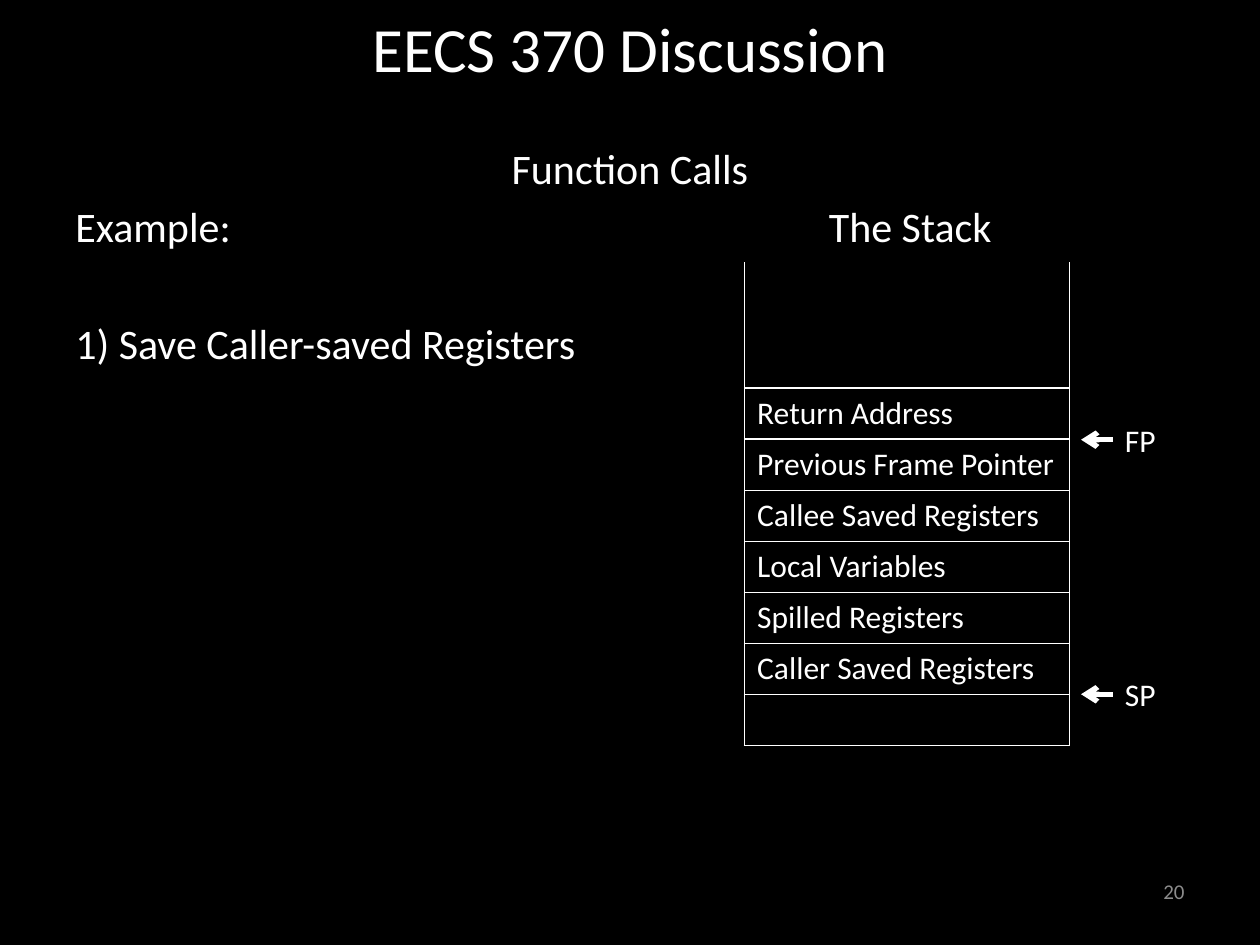
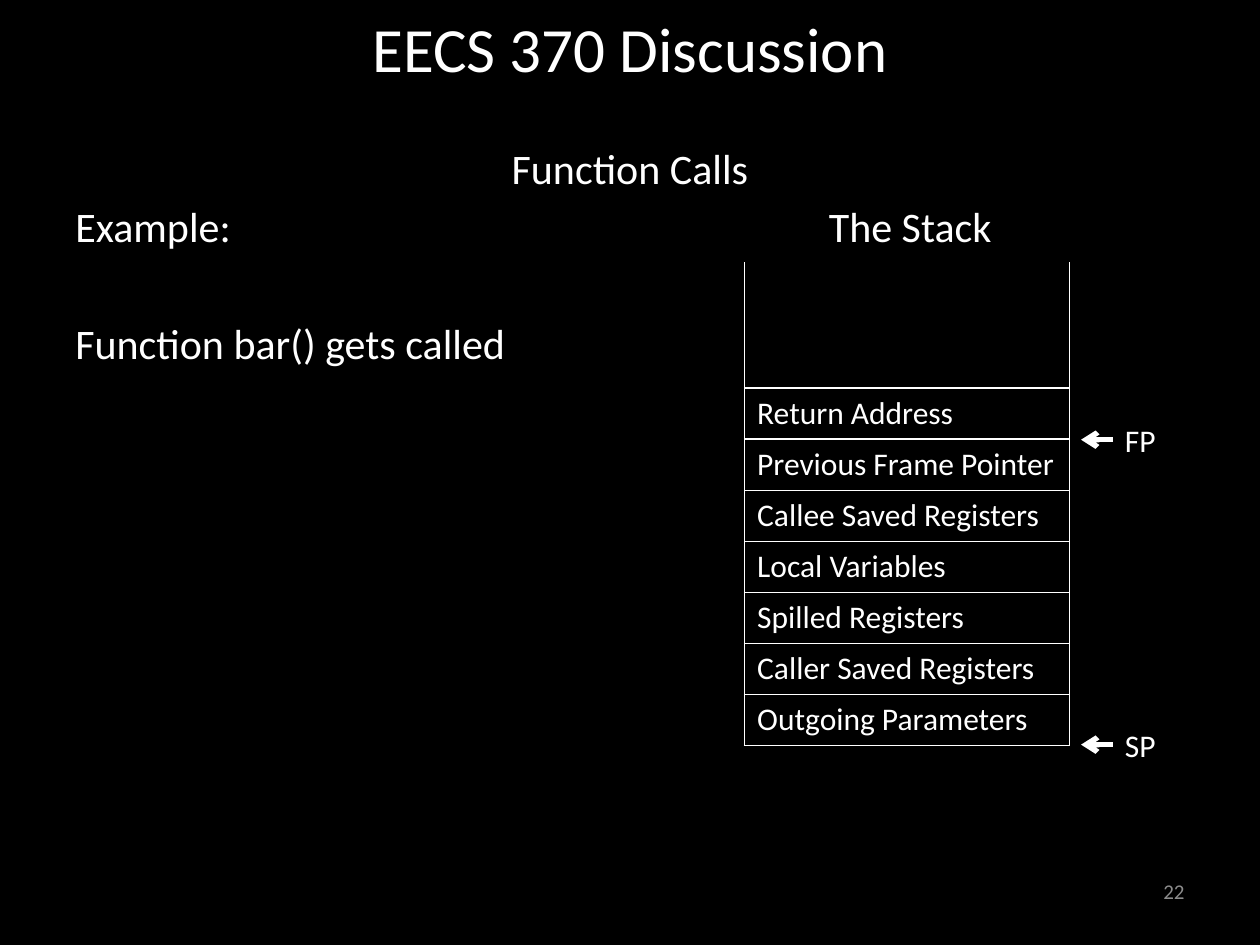
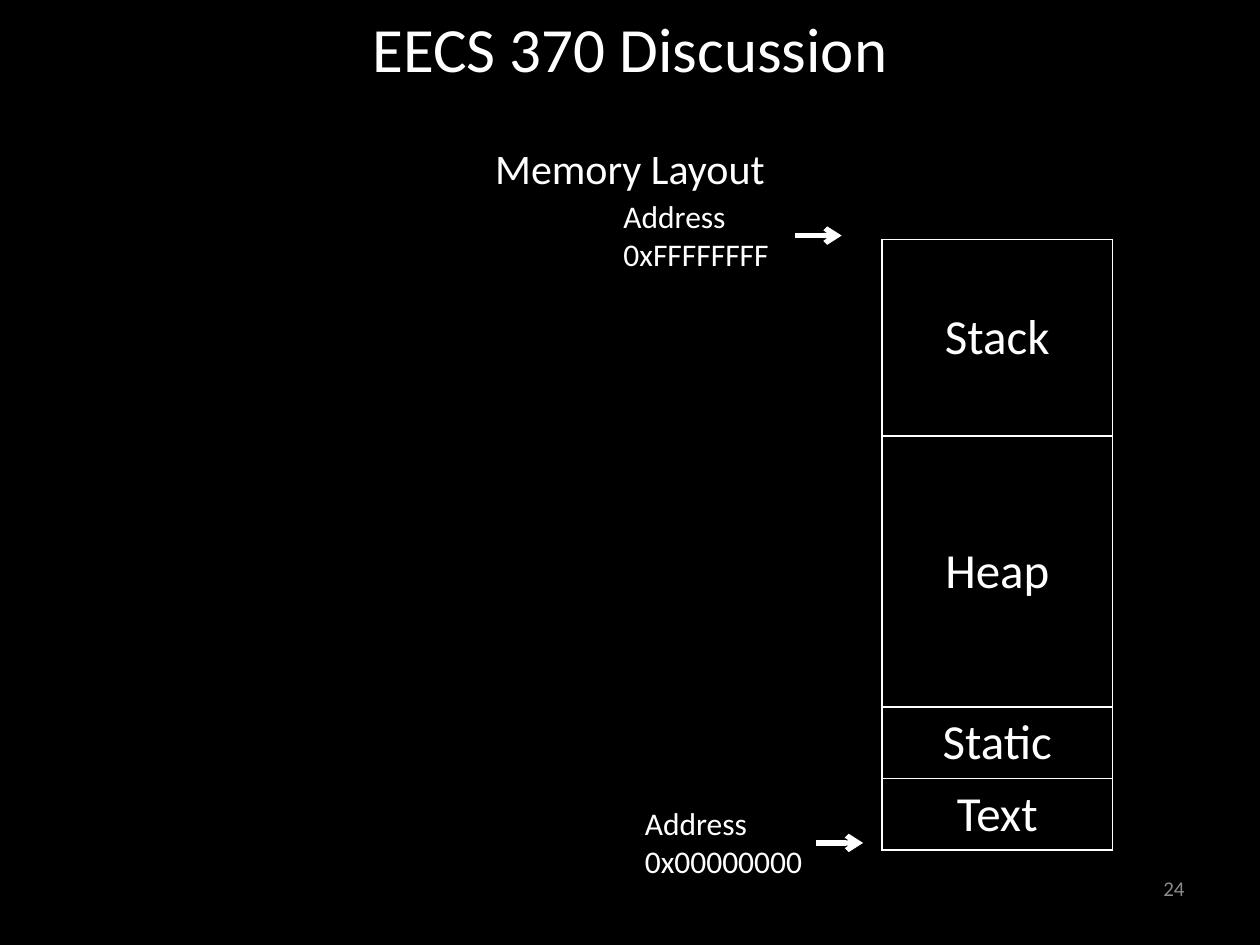
from lxml.etree import SubElement
from pptx import Presentation
from pptx.dml.color import RGBColor
from pptx.enum.shapes import MSO_CONNECTOR
from pptx.enum.text import MSO_ANCHOR, MSO_AUTO_SIZE, PP_ALIGN
from pptx.oxml.ns import qn
from pptx.util import Inches, Pt

# Shared look
BLACK, WHITE, GREY = "000000", "FFFFFF", "8C8C8C"
FONT = "Calibri"
TITLE = {"size": Pt(36)}
BODY = {"size": Pt(24)}
REGION = {"size": Pt(28)}
LABEL = {"size": Pt(18)}
LINE_GAP = 4.4
SKIPPED_LINE = 33.7
STACK_HEADING_TAB = 5.98

# Stack table: one tall open row, then equal frame rows
STACK_LEFT, STACK_TOP, STACK_WIDTH, STACK_HEIGHT = 5.91, 2.08, 2.58, 3.84
OPEN_ROW = 1.0
FRAME = ["Return Address", "Previous Frame Pointer", "Callee Saved Registers",
         "Local Variables", "Spilled Registers", "Caller Saved Registers"]
REGIONS = {"Stack": 1.56, "Heap": 2.15, "Static": 0.52, "Text": 0.52}


def rgb(value):
    return RGBColor.from_string(value)


def write(paragraph, text, style, color=WHITE, align=PP_ALIGN.LEFT, before=0):
    paragraph.text = text
    paragraph.alignment = align
    paragraph.space_before = Pt(before)
    for name, value in {"name": FONT, **style}.items():
        setattr(paragraph.font, name, value)
    paragraph.font.color.rgb = rgb(color)


def add_frame(slide, left, top, width, height, **settings):
    box = slide.shapes.add_textbox(*map(Inches, (left, top, width, height)))
    for name, value in {"word_wrap": True, **settings}.items():
        setattr(box.text_frame, name, value)
    return box


def add_base(prs, heading, number, number_top=6.87):
    """Slide with background, title, centred heading and number."""
    slide = prs.slides.add_slide(prs.slide_layouts[6])
    slide.background.fill.solid()
    slide.background.fill.fore_color.rgb = rgb(BLACK)
    middle = {"vertical_anchor": MSO_ANCHOR.MIDDLE}
    title = add_frame(slide, 0.5, -0.25, 9, 1.25, **middle)
    write(title.text_frame.paragraphs[0], "EECS 370 Discussion", TITLE,
          align=PP_ALIGN.CENTER)
    body = add_frame(slide, 0.5, 1.08, 9, 5.92).text_frame
    write(body.paragraphs[0], heading, BODY, align=PP_ALIGN.CENTER)
    footer = add_frame(slide, 7.17, number_top, 2.33, 0.4, **middle)
    write(footer.text_frame.paragraphs[0], str(number), {"size": Pt(12)},
          GREY, PP_ALIGN.RIGHT)
    return slide, body


def add_borders(cell, open_top):
    properties = cell._tc.get_or_add_tcPr()
    for side in ("lnL", "lnR", "lnT", "lnB"):
        line = SubElement(properties, qn(f"a:{side}"), w=str(Pt(1)))
        if side == "lnT" and open_top:
            SubElement(line, qn("a:noFill"))
        else:
            fill = SubElement(line, qn("a:solidFill"))
            SubElement(fill, qn("a:srgbClr"), val=WHITE)


def add_memory_table(slide, left, top, width, rows, style, align, anchor,
                     open_top=False):
    """One-column table; rows holds (text, height) pairs."""
    total = sum(height for _, height in rows)
    table = slide.shapes.add_table(
        len(rows), 1, *map(Inches, (left, top, width, total))).table
    table.first_row = table.horz_banding = False
    for index, (text, height) in enumerate(rows):
        table.rows[index].height = Inches(height)
        cell = table.cell(index, 0)
        cell.vertical_anchor = anchor
        write(cell.text_frame.paragraphs[0], text, style, align=align)
        add_borders(cell, open_top and index == 0)
        cell.fill.background()


def add_pointer(slide, text, left, middle, width, height, side, reach):
    """Label with an arrow leaving the given side (1 left, 3 right)."""
    label = add_frame(slide, left, middle - height / 2, width, height,
                      auto_size=MSO_AUTO_SIZE.SHAPE_TO_FIT_TEXT)
    write(label.text_frame.paragraphs[0], text, LABEL)
    start, end = (left, left - reach) if side == 1 else (
        left + width, left + width + reach)
    arrow = slide.shapes.add_connector(
        MSO_CONNECTOR.STRAIGHT, *map(Inches, (start, middle, end, middle)))
    arrow.begin_connect(label, side)
    arrow.line.color.rgb = rgb(WHITE)
    arrow.line.width = Pt(3)
    SubElement(arrow.line._get_or_add_ln(), qn("a:tailEnd"), type="arrow")
    SubElement(arrow._element.spPr, qn("a:effectLst"))


def add_call_slide(prs, number, step, last_row, stack_pointer):
    slide, body = add_base(prs, "Function Calls", number)
    # Left column and stack heading
    headings = body.add_paragraph()
    write(headings, "Example:\tThe Stack", BODY, before=LINE_GAP)
    tabs = SubElement(headings._p.get_or_add_pPr(), qn("a:tabLst"))
    SubElement(tabs, qn("a:tab"), pos=str(Inches(STACK_HEADING_TAB)), algn="l")
    write(body.add_paragraph(), step, BODY, before=LINE_GAP + SKIPPED_LINE)
    # Stack
    entries = FRAME + [last_row]
    frame_row = (STACK_HEIGHT - OPEN_ROW) / len(entries)
    rows = [("", OPEN_ROW)] + [(entry, frame_row) for entry in entries]
    add_memory_table(slide, STACK_LEFT, STACK_TOP, STACK_WIDTH, rows, LABEL,
                     PP_ALIGN.LEFT, MSO_ANCHOR.TOP, open_top=True)
    # Frame and stack pointers
    for name, middle in (("FP", 3.49), ("SP", stack_pointer)):
        add_pointer(slide, name, 8.83, middle, 0.54, 0.4, 1, 0.25)


def add_layout_slide(prs, number):
    slide, _ = add_base(prs, "Memory Layout", number, number_top=6.85)
    add_memory_table(slide, 7, 1.9, 1.83, list(REGIONS.items()), REGION,
                     PP_ALIGN.CENTER, MSO_ANCHOR.MIDDLE)
    for address, left, middle in (("0x00000000", 5.02, 6.69),
                                  ("0xFFFFFFFF", 4.85, 1.87)):
        add_pointer(slide, f"Address\v{address}", left, middle, 1.46, 0.71,
                    3, 0.37)


def main():
    prs = Presentation()
    prs.slide_width, prs.slide_height = Inches(10), Inches(7.5)
    add_call_slide(prs, 20, "1) Save Caller-saved Registers", "", 5.51)
    add_call_slide(prs, 22, "Function bar() gets called",
                   "Outgoing Parameters", 5.91)
    add_layout_slide(prs, 24)
    prs.save("out.pptx")


if __name__ == "__main__":
    main()
